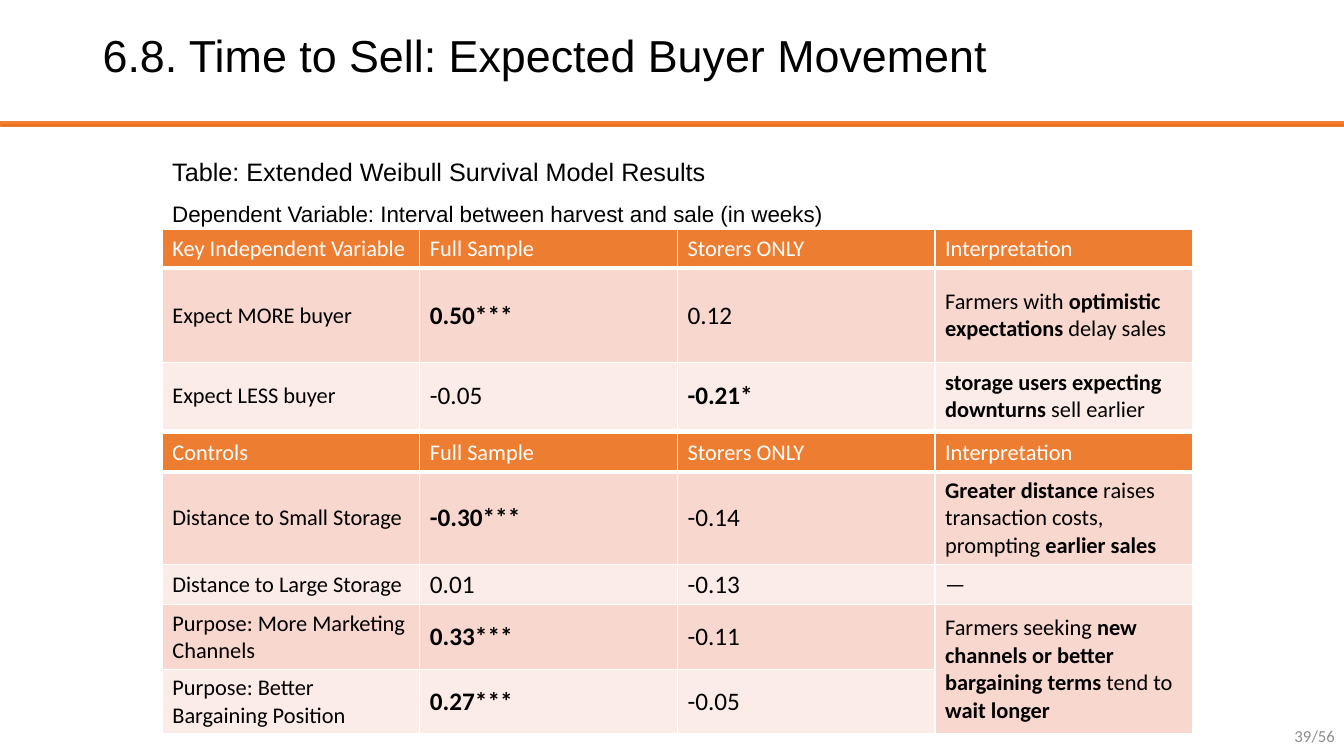
from dataclasses import dataclass

from lxml.etree import SubElement
from pptx import Presentation
from pptx.dml.color import RGBColor
from pptx.enum.shapes import MSO_SHAPE as Preset
from pptx.enum.text import MSO_ANCHOR as Anchor, MSO_AUTO_SIZE as AutoSize, PP_ALIGN as Align
from pptx.oxml.ns import qn
from pptx.slide import Slide
from pptx.util import Emu, Pt


@dataclass(frozen=True)
class Theme:
    heading_font: str = "Arial"
    table_font: str = "Calibri"
    ink: str = "000000"
    white: str = "FFFFFF"
    muted: str = "8C8C8C"
    accent: str = "ED7D31"
    bands: tuple[str, str] = ("F8D7CE", "FCECE8")
    rule_gradient: tuple[str, ...] = ("F18C57", "F67B28", "E56C19")
    title_size: int = 32
    large_size: int = 18
    body_size: int = 16
    page_size: int = 12
    grid_width: int = 1
    header_line_width: int = 3


@dataclass(frozen=True)
class Line:
    text: str
    size: int
    font: str
    color: str
    spacing: float = 1.0
    align: Align = Align.LEFT


@dataclass(frozen=True)
class TextBlock:
    box: tuple[int, int, int, int]
    lines: tuple[Line, ...]
    anchor: Anchor = Anchor.MIDDLE
    auto_size: AutoSize = AutoSize.NONE


@dataclass(frozen=True)
class Results:
    top: int
    heights: tuple[int, ...]
    rows: tuple[tuple[str, ...], ...]
    merged: tuple[tuple[int, int], tuple[int, int]] | None = None


THEME = Theme()
EMU_PER_PX = 9144
SLIDE_WIDTH, SLIDE_HEIGHT = 1333, 750
TABLE_LEFT, TABLE_WIDTH = 161, 1022
ESTIMATE_COLUMNS = (1, 2)
HEADINGS = ("Full Sample", "Storers ONLY", "Interpretation")

TEXT_BLOCKS = (
    TextBlock((1034, 710, 300, 40), (
        Line("39/56", THEME.page_size, THEME.table_font, THEME.muted, align=Align.RIGHT),
    )),
    TextBlock((92, -15, 1150, 145), (
        Line("6.8. Time to Sell: Expected Buyer Movement",
             THEME.title_size, THEME.heading_font, THEME.ink, 0.9),
    )),
    TextBlock((TABLE_LEFT, 135, 693, 91), (
        Line("Table: Extended Weibull Survival Model Results",
             THEME.large_size, THEME.heading_font, THEME.ink, 1.5),
        Line("Dependent Variable: Interval between harvest and sale (in weeks)",
             THEME.body_size, THEME.heading_font, THEME.ink, 1.5),
    ), Anchor.TOP, AutoSize.SHAPE_TO_FIT_TEXT),
)

BUYER_EXPECTATIONS = Results(228, (38, 94, 66), (
    ("Key Independent Variable", *HEADINGS),
    ("Expect MORE buyer", "|0.50***|", "0.12",
     "Farmers with |optimistic expectations| delay sales"),
    ("Expect LESS buyer", "-0.05", "|-0.21*|",
     "|storage users expecting downturns| sell earlier"),
))

CONTROLS = Results(430, (38, 92, 40, 64, 64), (
    ("Controls", *HEADINGS),
    ("Distance to Small Storage", "|-0.30***|", "-0.14",
     "|Greater distance| raises transaction costs, prompting |earlier sales|"),
    ("Distance to Large Storage", "0.01", "-0.13", "—"),
    ("Purpose: More Marketing Channels", "|0.33***|", "-0.11",
     "Farmers seeking |new channels or better bargaining terms| tend to |wait longer|"),
    ("Purpose: Better Bargaining Position", "|0.27***|", "-0.05", ""),
), merged=((3, 3), (4, 3)))


def px(length: int) -> Emu:
    return Emu(length * EMU_PER_PX)


def style_font(font, name: str, size: int, color: str, bold: bool = False) -> None:
    font.name = name
    font.size = Pt(size)
    font.bold = bold
    font.color.rgb = RGBColor.from_string(color)


def draw_text(slide: Slide, block: TextBlock) -> None:
    frame = slide.shapes.add_textbox(*map(px, block.box)).text_frame
    frame.word_wrap = True
    frame.auto_size = block.auto_size
    frame.vertical_anchor = block.anchor
    frame.text = "\n".join(line.text for line in block.lines)
    for paragraph, line in zip(frame.paragraphs, block.lines):
        paragraph.alignment = line.align
        paragraph.line_spacing = line.spacing
        style_font(paragraph.runs[0].font, line.font, line.size, line.color)


def draw_title_rule(slide: Slide) -> None:
    rule = slide.shapes.add_shape(
        Preset.RECTANGLE, px(0), px(120), px(SLIDE_WIDTH), px(5))
    rule.shadow.inherit = False
    rule.fill.gradient()
    rule.fill.gradient_angle = 270
    stops = next(rule.element.spPr.iter(qn("a:gsLst")))
    stops.clear()
    for index, color in enumerate(THEME.rule_gradient):
        stop = SubElement(stops, qn("a:gs"), pos=str(index * 50000))
        SubElement(stop, qn("a:srgbClr"), val=color)
    rule.line.color.rgb = RGBColor.from_string(THEME.accent)
    rule.line.width = Pt(0.5)


def draw_borders(cell, row: int) -> None:
    properties = cell._tc.get_or_add_tcPr()
    for side in "LRTB":
        under_header = (row, side) in ((0, "B"), (1, "T"))
        width = THEME.header_line_width if under_header else THEME.grid_width
        border = SubElement(properties, qn(f"a:ln{side}"), w=str(Pt(width)))
        fill = SubElement(border, qn("a:solidFill"))
        SubElement(fill, qn("a:srgbClr"), val=THEME.white)


def fill_cell(cell, text: str, row: int, column: int) -> None:
    is_header = row == 0
    draw_borders(cell, row)
    cell.fill.solid()
    cell.fill.fore_color.rgb = RGBColor.from_string(
        THEME.accent if is_header else THEME.bands[(row - 1) % 2])
    cell.vertical_anchor = Anchor.MIDDLE
    is_estimate = not is_header and column in ESTIMATE_COLUMNS
    size = THEME.large_size if is_estimate else THEME.body_size
    color = THEME.white if is_header else THEME.ink
    paragraph = cell.text_frame.paragraphs[0]
    for index, part in enumerate(text.split("|")):
        if part:
            run = paragraph.add_run()
            run.text = part
            style_font(run.font, THEME.table_font, size, color, index % 2 == 1)


def draw_results(slide: Slide, results: Results) -> None:
    table = slide.shapes.add_table(
        len(results.rows), len(results.rows[0]), px(TABLE_LEFT), px(results.top),
        px(TABLE_WIDTH), px(sum(results.heights))).table
    for row, (height, texts) in enumerate(zip(results.heights, results.rows)):
        table.rows[row].height = px(height)
        for column, text in enumerate(texts):
            fill_cell(table.cell(row, column), text, row, column)
    if results.merged:
        first, last = results.merged
        table.cell(*first).merge(table.cell(*last))


def main() -> None:
    deck = Presentation()
    deck.slide_width, deck.slide_height = px(SLIDE_WIDTH), px(SLIDE_HEIGHT)
    slide = deck.slides.add_slide(deck.slide_layouts[6])
    draw_title_rule(slide)
    for block in TEXT_BLOCKS:
        draw_text(slide, block)
    for results in (BUYER_EXPECTATIONS, CONTROLS):
        draw_results(slide, results)
    deck.save("out.pptx")


if __name__ == "__main__":
    main()
